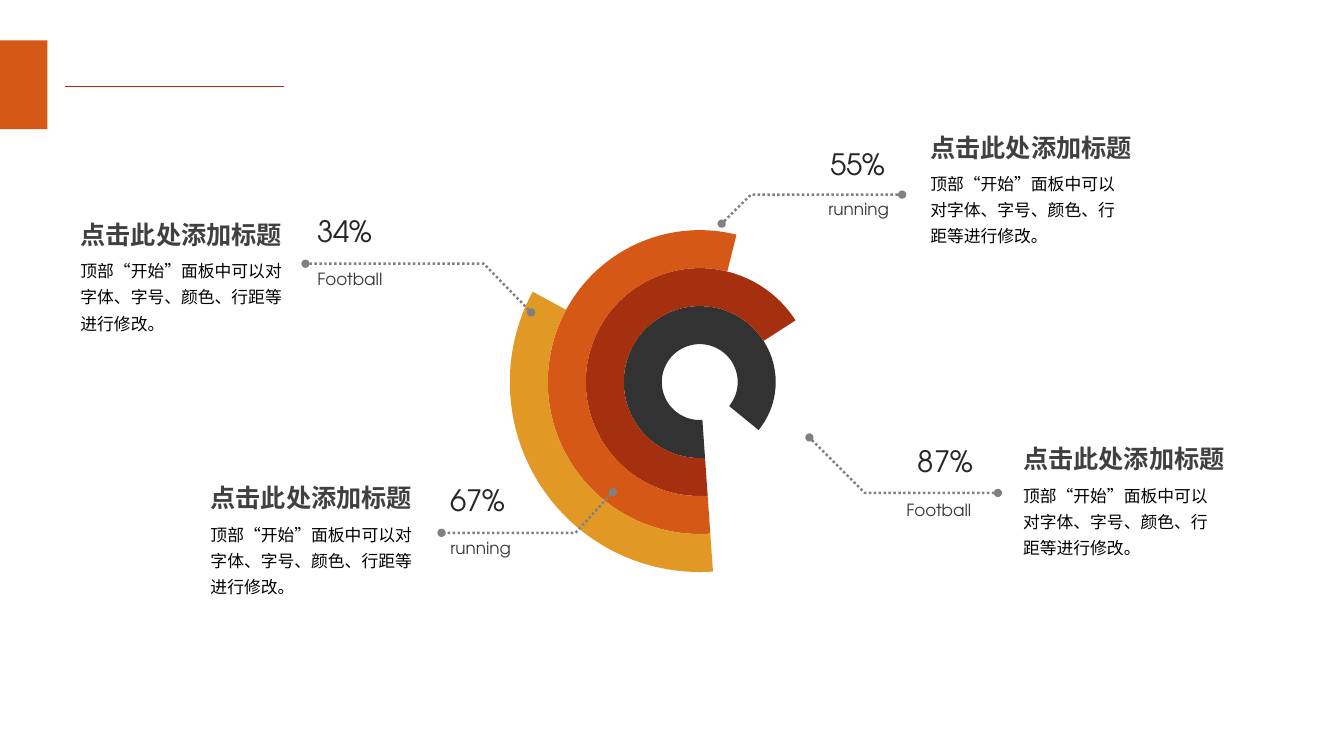
from pptx import Presentation, util as u
from pptx.chart.data import CategoryChartData
from pptx.dml.color import RGBColor
from pptx.enum import chart as ec, dml, shapes, text
from pptx.oxml.ns import qn
from lxml import etree

HUE = {
    "dark": "323232", "red": "A5300F", "orange": "D55816", "gold": "E19825",
    "line": "808080", "title": "404040", "body": "000000",
    "value": "262626", "label": "3B3838",
}
LATIN, HAN = "TeX Gyre Adventor", "Noto Sans CJK SC"
HEAD = "点击此处添加标题"
BODY = "顶部“开始”面板中可以对字体、字号、颜色、行距等进行修改。"

RINGS = [("Series 1", 87, "dark"), ("Series 2", 67, "red"),
         ("Series 3", 55, "orange"), ("Series 4", 34, "gold")]

CALLS = [
    dict(rate="34%", rate_at=(219.6, 149), name="Football", name_at=(219.6, 188.6),
         head_at=(50.4, 152.9), wide=160.6,
         line=[(379.4, 223.2), (345.6, 188.4), (218.2, 188.4)]),
    dict(rate="55%", rate_at=(586.1, 100.8), name="running", name_at=(584.6, 138.7),
         head_at=(657.4, 90.7), wide=157.7,
         line=[(515.5, 159.8), (536.4, 139), (644.4, 139)]),
    dict(rate="67%", rate_at=(314.6, 341.1), name="running", name_at=(314.6, 380.9),
         head_at=(143.3, 341.3), wide=163.4,
         line=[(437.8, 351.4), (411.1, 380.6), (315.4, 380.6)]),
    dict(rate="87%", rate_at=(648.5, 313.2), name="Football", name_at=(640.3, 353.5),
         head_at=(723.7, 313.2), wide=157.7,
         line=[(578.2, 312.5), (617.8, 352.1), (712.8, 352.1)]),
]

CHART = (203.6, 127.2, 592.56, 291.6)
DISC = 271.4

deck = Presentation()
deck.slide_width, deck.slide_height = u.Pt(960), u.Pt(540)
slide = deck.slides.add_slide(deck.slide_layouts[6])
parts = slide.shapes


def pts(*nums):
    return [u.Pt(n) for n in nums]


def rgb(key):
    return RGBColor.from_string(HUE[key])


def write(words, at, wide, high, size, hue, face=LATIN, bold=False, wrap=False, lead=None):
    box = parts.add_textbox(*pts(*at, wide, high))
    frame = box.text_frame
    frame.word_wrap = wrap
    frame.auto_size = text.MSO_AUTO_SIZE.SHAPE_TO_FIT_TEXT
    para = frame.paragraphs[0]
    if lead:
        para.line_spacing = lead
    run = para.add_run()
    run.text = words
    font = run.font
    font.size, font.bold, font.name = u.Pt(size), bold, face
    font.color.rgb = rgb(hue)
    etree.SubElement(run._r.get_or_add_rPr(), qn("a:ea"), typeface=face)


def draw_header():
    rule = parts.add_connector(shapes.MSO_CONNECTOR.STRAIGHT, *pts(46.6, 61.9, 203, 61.9))
    rule.line.color.rgb, rule.line.width = rgb("red"), u.Pt(0.5)
    etree.SubElement(rule._element.spPr, qn("a:effectLst"))
    block = parts.add_shape(shapes.MSO_SHAPE.RECTANGLE, *pts(0, 28.8, 33.9, 63.4))
    block.shadow.inherit = False
    block.fill.solid()
    block.fill.fore_color.rgb = rgb("orange")
    block.line.fill.background()


def draw_chart():
    data = CategoryChartData()
    data.categories = ["1", "2"]
    for name, rate, _ in RINGS:
        data.add_series(name, (rate, 100 - rate))
    chart = parts.add_chart(ec.XL_CHART_TYPE.DOUGHNUT, *pts(*CHART), data).chart
    chart.has_legend = chart.has_title = False
    chart.font.size, chart.font.name = u.Pt(10), LATIN
    chart.font.color.rgb = rgb("body")
    plot = chart.plots[0]
    plot.has_data_labels = False
    plot.vary_by_categories = True
    for ring, (_, _, hue) in zip(plot.series, RINGS):
        used, rest = (ring.points[i].format for i in range(2))
        used.fill.solid()
        used.fill.fore_color.rgb = rgb(hue)
        rest.fill.background()
        for look in (used, rest):
            look.line.fill.background()
    root = chart._chartSpace
    for tag, val in (("firstSliceAng", 176), ("holeSize", 60)):
        root.find(".//" + qn("c:" + tag)).set("val", str(val))
    area = root.find(".//" + qn("c:plotArea"))
    for old in area.findall(qn("c:layout")):
        area.remove(old)
    grid = etree.Element(qn("c:layout"))
    area.insert(0, grid)
    man = etree.SubElement(grid, qn("c:manualLayout"))
    w, h = DISC / CHART[2], DISC / CHART[3]
    for tag, val in (("layoutTarget", "inner"), ("xMode", "edge"), ("yMode", "edge"),
                     ("x", (1 - w) / 2), ("y", (1 - h) / 2), ("w", w), ("h", h)):
        etree.SubElement(man, qn("c:" + tag), val=str(val))


def draw_line(path):
    first, *rest = [pts(*p) for p in path]
    pen = parts.build_freeform(*first)
    pen.add_line_segments(rest, close=False)
    lead = pen.convert_to_shape()
    lead.shadow.inherit = False
    lead.fill.background()
    line = lead.line
    line.color.rgb, line.width = rgb("line"), u.Pt(1.75)
    line.dash_style = dml.MSO_LINE.ROUND_DOT
    for end in ("a:headEnd", "a:tailEnd"):
        etree.SubElement(lead._element.spPr.find(qn("a:ln")), qn(end), type="oval")


draw_header()
draw_chart()
for call in CALLS:
    x, y = call["head_at"]
    draw_line(call["line"])
    write(call["name"], call["name_at"], 64, 21.6, 12, "label")
    write(call["rate"], call["rate_at"], 56, 32.4, 21, "value")
    write(BODY, (x, y + 25.6), call["wide"], 64.1, 12, "body", face=HAN, wrap=True, lead=1.3)
    write(HEAD, (x, y), 159.8, 28.8, 18, "title", face=HAN, bold=True)

deck.save("out.pptx")
